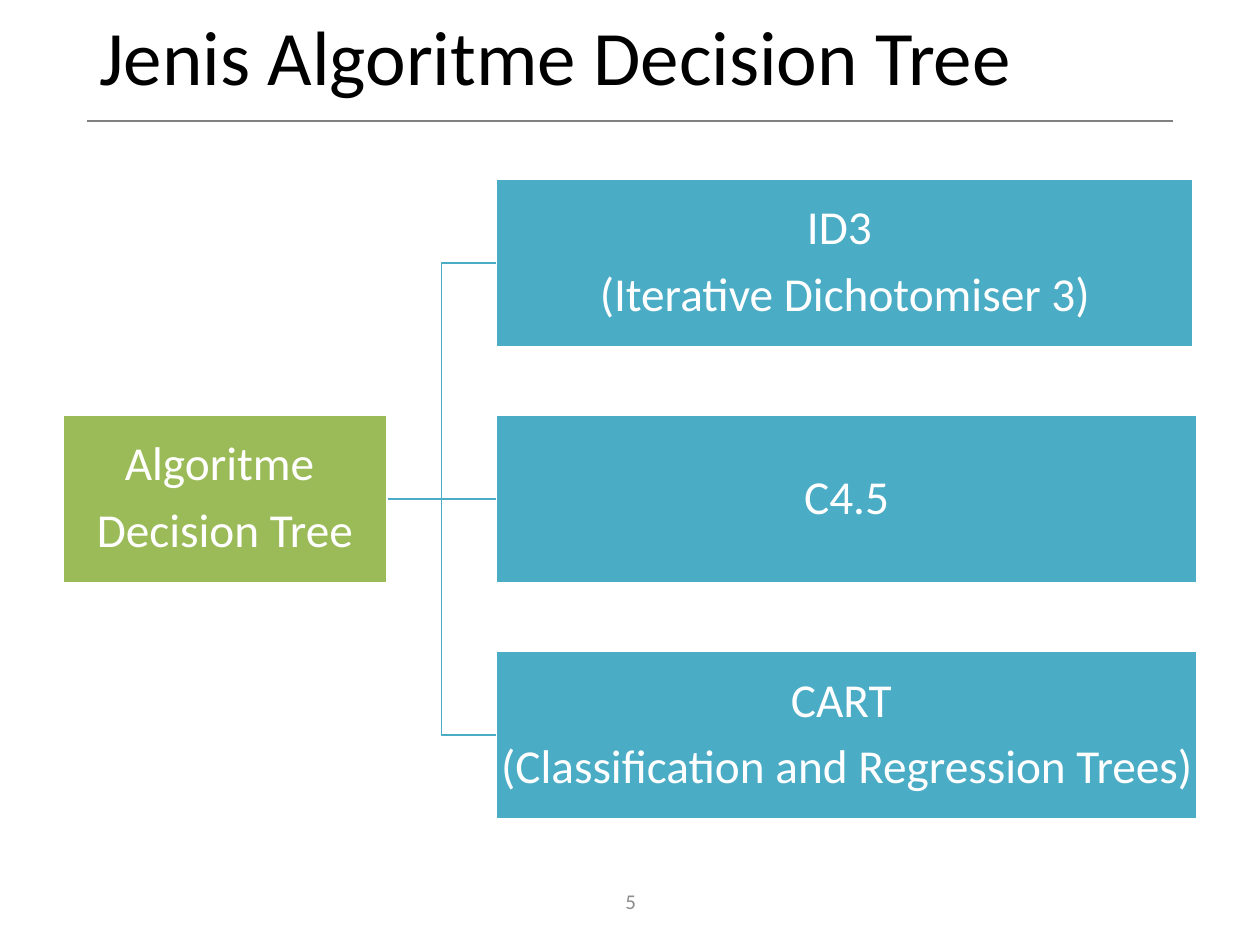
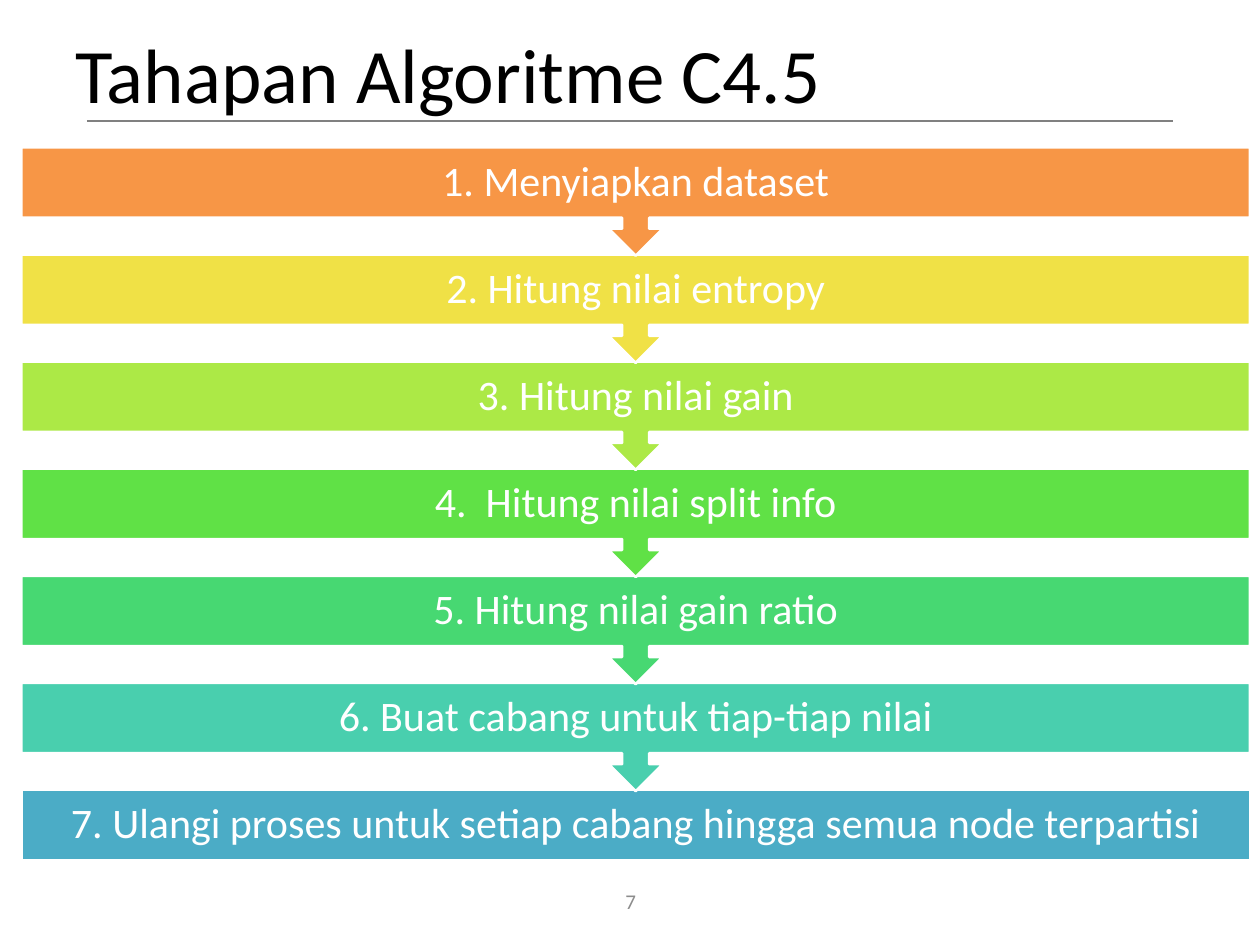
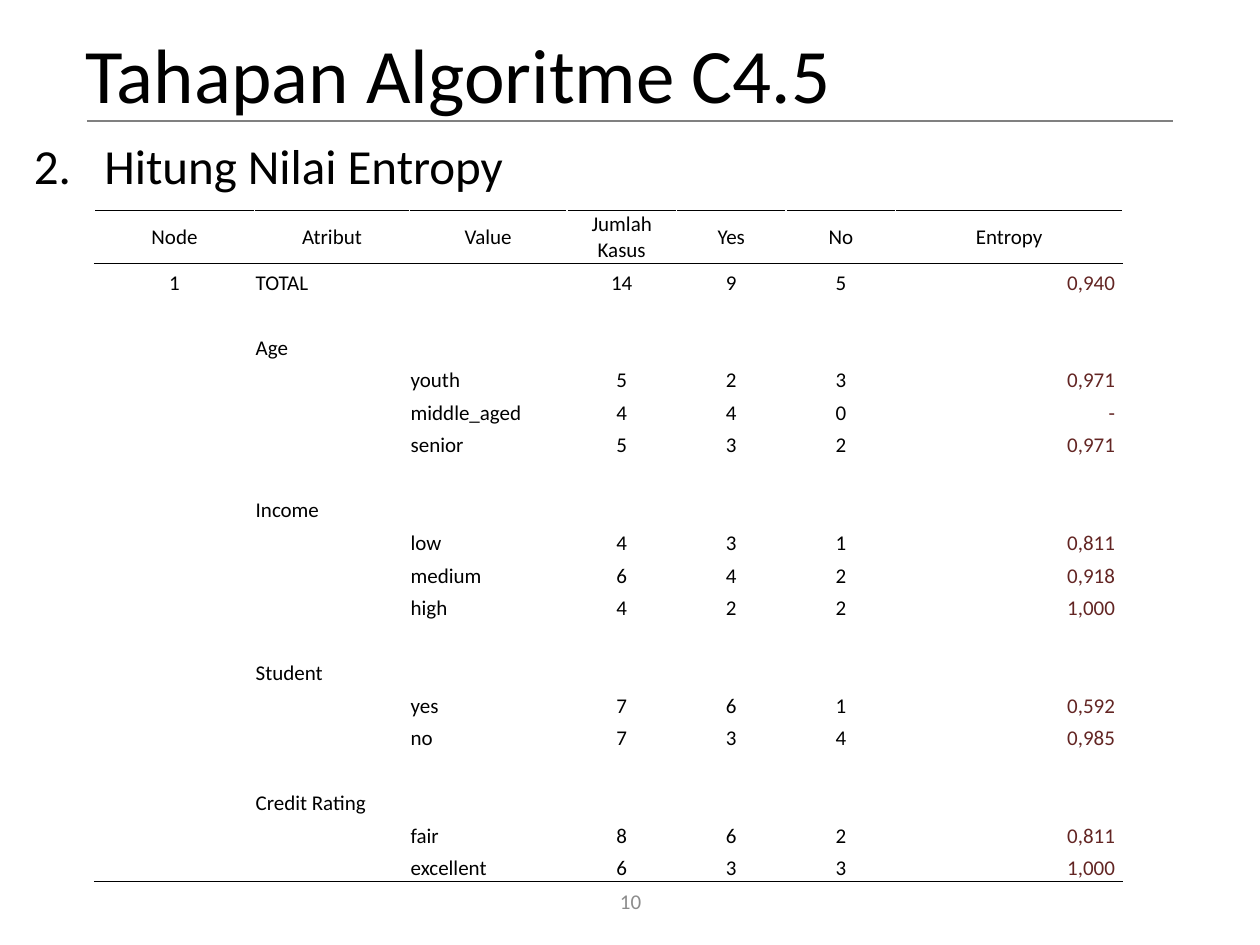
from dataclasses import dataclass
from typing import Any, NamedTuple, Optional

from lxml import etree
from pptx import Presentation
from pptx import util as u
from pptx.dml import color
from pptx.enum import shapes, text
from pptx.oxml import ns


@dataclass(frozen=True)
class Theme:
    font: str = "Calibri"
    ink: str = "000000"
    white: str = "FFFFFF"
    muted: str = "8C8C8C"
    rule: str = "808080"
    root: str = "9BBB59"
    branch: str = "4BACC6"
    entropy: str = "632523"
    steps: tuple[str, ...] = ("F79646", "F0E146", "ACE946", "60E146",
                              "47D872", "49CFAE", "4BACC6")
    title_size: int = 44
    body_size: int = 28
    box_size: int = 27
    step_size: int = 24
    small_size: int = 12


class Area(NamedTuple):
    column: float
    row: float
    columns: float
    rows: float


class Style(NamedTuple):
    size: int
    ink: str
    align: Any = text.PP_ALIGN.LEFT
    line_spacing: Optional[float] = None
    space_before: float = 0
    space_after: float = 0


class Branch(NamedTuple):
    lines: tuple[str, ...]
    columns: float


class Group(NamedTuple):
    attribute: str
    values: tuple[tuple[str, ...], ...]


THEME = Theme()
GRID_COLUMNS, GRID_ROWS = 100, 75
CENTER, RIGHT = text.PP_ALIGN.CENTER, text.PP_ALIGN.RIGHT
MIDDLE, BOTTOM = text.MSO_ANCHOR.MIDDLE, text.MSO_ANCHOR.BOTTOM

TITLE = Style(THEME.title_size, THEME.ink, line_spacing=0.9)
BODY = Style(THEME.body_size, THEME.ink, line_spacing=0.9, space_before=10)
NUMBER = Style(THEME.small_size, THEME.muted, CENTER)
BOX = Style(THEME.box_size, THEME.white, CENTER, 0.9, space_after=9)
STEP = Style(THEME.step_size, THEME.white, CENTER, 0.9)

presentation = Presentation()
presentation.slide_width, presentation.slide_height = u.Inches(10), u.Inches(7.5)
CELL = presentation.slide_width / GRID_COLUMNS


def grid(count: float) -> int:
    return round(count * CELL)


def place(area: Area) -> list[int]:
    return [grid(count) for count in area]


def apply(target: Any, values: dict[str, Any]) -> None:
    for name, value in values.items():
        setattr(target, name, value)


def rgb(value: str) -> color.RGBColor:
    return color.RGBColor.from_string(value)


def margins(left: float, top: float, right: float, bottom: float) -> dict[str, int]:
    sides = ("left", "top", "right", "bottom")
    return {f"margin_{side}": grid(size)
            for side, size in zip(sides, (left, top, right, bottom))}


def write(frame: Any, lines: tuple[str, ...], style: Style) -> None:
    for index, line in enumerate(lines):
        paragraph = frame.add_paragraph() if index else frame.paragraphs[0]
        apply(paragraph, {"alignment": style.align,
                          "line_spacing": style.line_spacing,
                          "space_before": u.Pt(style.space_before),
                          "space_after": u.Pt(style.space_after)})
        run = paragraph.add_run()
        run.text = line
        apply(run.font, {"name": THEME.font, "size": u.Pt(style.size)})
        run.font.color.rgb = rgb(style.ink)


def add_text(slide: Any, area: Area, line: str, style: Style,
             anchor: Any = MIDDLE) -> Any:
    frame = slide.shapes.add_textbox(*place(area)).text_frame
    apply(frame, {"word_wrap": True, "vertical_anchor": anchor})
    write(frame, (line,), style)
    return frame


def add_box(slide: Any, kind: Any, area: Area, fill: str, lines: tuple[str, ...],
            style: Style, outline: float, inset: dict[str, int]) -> None:
    shape = slide.shapes.add_shape(kind, *place(area))
    shape.shadow.inherit = False
    shape.fill.solid()
    shape.fill.fore_color.rgb = rgb(fill)
    shape.line.color.rgb = rgb(THEME.white)
    shape.line.width = u.Pt(outline)
    apply(shape.text_frame, {"word_wrap": True, "vertical_anchor": MIDDLE, **inset})
    write(shape.text_frame, lines, style)


def add_line(slide: Any, kind: Any, start: tuple[float, float],
             end: tuple[float, float], ink: str) -> None:
    connector = slide.shapes.add_connector(kind, *map(grid, start + end))
    connector.line.color.rgb = rgb(ink)
    connector.line.width = u.Pt(1)
    etree.SubElement(connector._element.spPr, ns.qn("a:effectLst"))


def add_slide(title: str, title_area: Area, number: str) -> Any:
    slide = presentation.slides.add_slide(presentation.slide_layouts[6])
    add_text(slide, Area(38.8, 69.5, 22.5, 4), number, NUMBER)
    add_line(slide, shapes.MSO_CONNECTOR.STRAIGHT, (6.9, 9.6), (93.1, 9.6), THEME.rule)
    add_text(slide, title_area, title, TITLE)
    return slide


def add_tree(slide: Any, root: tuple[str, ...], branches: tuple[Branch, ...]) -> None:
    top, pitch, height = 14.2, 18.75, 13.3
    left, width, branch_left = 5, 25.7, 39.4
    middle = len(branches) // 2
    tops = [top + pitch * index for index in range(len(branches))]
    start = (left + width, tops[middle] + height / 2)
    for index, branch_top in enumerate(tops):
        kind = (shapes.MSO_CONNECTOR.STRAIGHT if index == middle
                else shapes.MSO_CONNECTOR.ELBOW)
        add_line(slide, kind, start, (branch_left, branch_top + height / 2), THEME.branch)
    boxes = [(Area(left, tops[middle], width, height), THEME.root, root)]
    boxes += [(Area(branch_left, branch_top, branch.columns, height),
               THEME.branch, branch.lines)
              for branch_top, branch in zip(tops, branches)]
    for area, fill, lines in boxes:
        add_box(slide, shapes.MSO_SHAPE.RECTANGLE, area, fill, lines, BOX, 1,
                margins(0.2, 0.2, 0.2, 0.2))


def add_steps(slide: Any, steps: tuple[str, ...]) -> None:
    top, pitch, bar_height, callout_height = 11.7, 8.5, 5.6, 8.6
    last = len(steps) - 1
    for index in reversed(range(len(steps))):
        kind, height = ((shapes.MSO_SHAPE.RECTANGLE, bar_height) if index == last
                        else (shapes.MSO_SHAPE.DOWN_ARROW_CALLOUT, callout_height))
        add_box(slide, kind, Area(1.7, top + pitch * index, 97.5, height),
                THEME.steps[index], (steps[index],), STEP, 1.5, margins(1.9, 0, 1.9, 0))


def add_border(cell: Any, side: str) -> None:
    border = etree.Element(ns.qn(f"a:ln{side}"), w=str(u.Pt(0.5)))
    fill = etree.SubElement(border, ns.qn("a:solidFill"))
    etree.SubElement(fill, ns.qn("a:srgbClr"), val=THEME.ink)
    cell._tc.get_or_add_tcPr().insert(0, border)


def fill_cell(cell: Any, value: str, style: Style, anchor: Any, right: float) -> None:
    apply(cell, {"vertical_anchor": anchor, **margins(0.1, 0.1, right, 0)})
    cell.fill.background()
    if value:
        write(cell.text_frame, (value,), style)
    else:
        etree.SubElement(cell.text_frame.paragraphs[0]._p, ns.qn("a:endParaRPr"),
                         sz=str(THEME.small_size * 100))


def add_entropy_table(slide: Any, header: tuple[str, ...], total: tuple[str, ...],
                      groups: tuple[Group, ...]) -> None:
    widths = (12.7, 12.3, 12.5, 8.7, 8.7, 8.7, 18)
    area = Area(7.5, 16.7, sum(widths), 53.3)
    header_height = 4.2
    rows = [header, total]
    for group in groups:
        rows += [(), ("", group.attribute)]
        rows += [("", "", *values) for values in group.values]
    table = slide.shapes.add_table(len(rows), len(widths), *place(area)).table
    apply(table, {"first_row": False, "horz_banding": False})
    for column, width in zip(table.columns, widths):
        column.width = grid(width)
    row_height = (area.rows - header_height) / (len(rows) - 1)
    last_row, last_column = len(rows) - 1, len(widths) - 1
    for row_index, values in enumerate(rows):
        table.rows[row_index].height = grid(row_height if row_index else header_height)
        for column_index in range(len(widths)):
            cell = table.cell(row_index, column_index)
            value = values[column_index] if column_index < len(values) else ""
            entropy = row_index > 0 and column_index == last_column
            label = row_index > 0 and column_index in (1, 2)
            align = RIGHT if entropy else text.PP_ALIGN.LEFT if label else CENTER
            style = Style(THEME.small_size, THEME.entropy if entropy else THEME.ink, align)
            fill_cell(cell, value, style, BOTTOM if row_index else MIDDLE,
                      0.6 if entropy else 0.1)
            if row_index in (0, last_row):
                add_border(cell, "B")
            if row_index in (0, 1):
                add_border(cell, "T")


def add_numbered_heading(slide: Any, area: Area, line: str, start: int) -> None:
    frame = add_text(slide, area, line, BODY, text.MSO_ANCHOR.TOP)
    properties = frame.paragraphs[0]._p.get_or_add_pPr()
    indent = grid(5.6)
    apply_indent = {"marL": indent, "indent": -indent}
    for name, value in apply_indent.items():
        properties.set(name, str(value))
    etree.SubElement(properties, ns.qn("a:buFont"), typeface=THEME.font)
    etree.SubElement(properties, ns.qn("a:buAutoNum"), type="arabicPeriod",
                     startAt=str(start))


tree_slide = add_slide("Jenis Algoritme Decision Tree", Area(6.9, 0.9, 86.2, 7.8), "5")
add_tree(tree_slide, ("Algoritme ", "Decision Tree"), (
    Branch(("ID3 ", "(Iterative Dichotomiser 3)"), 55.3),
    Branch(("C4.5",), 55.6),
    Branch(("CART ", "(Classification and Regression Trees)"), 55.6),
))

steps_slide = add_slide("Tahapan Algoritme C4.5", Area(5, 0, 90, 12.5), "7")
add_steps(steps_slide, (
    "1. Menyiapkan dataset",
    "2. Hitung nilai entropy",
    "3. Hitung nilai gain",
    "4.  Hitung nilai split info",
    "5. Hitung nilai gain ratio",
    "6. Buat cabang untuk tiap-tiap nilai",
    "7. Ulangi proses untuk setiap cabang hingga semua node terpartisi",
))

entropy_slide = add_slide("Tahapan Algoritme C4.5", Area(5.8, 0, 90, 12.5), "10")
add_numbered_heading(entropy_slide, Area(1.7, 10.8, 90, 49.5), "Hitung Nilai Entropy", 2)
add_entropy_table(
    entropy_slide,
    ("Node", "Atribut", "Value", "Jumlah Kasus", "Yes", "No", "Entropy"),
    ("1", "TOTAL", "", "14", "9", "5", "0,940"),
    (
        Group("Age", (("youth", "5", "2", "3", "0,971"),
                      ("middle_aged", "4", "4", "0", "-"),
                      ("senior", "5", "3", "2", "0,971"))),
        Group("Income", (("low", "4", "3", "1", "0,811"),
                         ("medium", "6", "4", "2", "0,918"),
                         ("high", "4", "2", "2", "1,000"))),
        Group("Student", (("yes", "7", "6", "1", "0,592"),
                          ("no", "7", "3", "4", "0,985"))),
        Group("Credit Rating", (("fair", "8", "6", "2", "0,811"),
                                ("excellent", "6", "3", "3", "1,000"))),
    ),
)

presentation.save("out.pptx")
